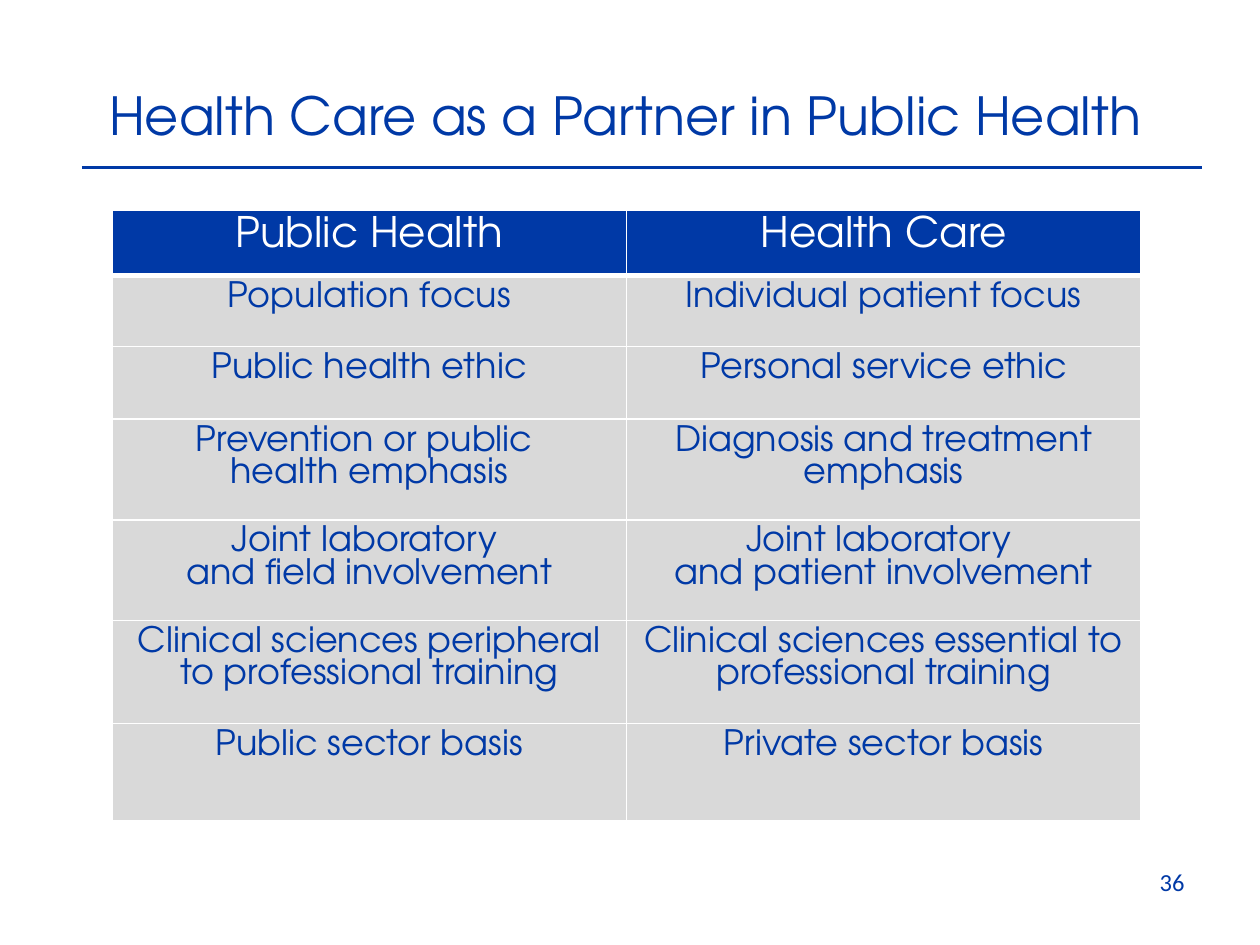
from lxml import etree
from pptx import Presentation
from pptx.dml.color import RGBColor
from pptx.enum.shapes import MSO_CONNECTOR
from pptx.enum.text import PP_ALIGN
from pptx.oxml.ns import qn
from pptx.util import Cm, Pt

STRAIGHT = MSO_CONNECTOR.STRAIGHT
CENTER, RIGHT = PP_ALIGN.CENTER, PP_ALIGN.RIGHT

BLUE, GRAY, WHITE = "0039A6", "D9D9D9", "FFFFFF"
HEAD, BODY = "TeX Gyre Adventor", "Calibri"

ROWS = [
    ("Public Health", "Health Care"),
    ("Population focus", "Individual patient focus"),
    ("Public health ethic", "Personal service ethic"),
    ("Prevention or public \nhealth emphasis", "Diagnosis and treatment emphasis"),
    ("Joint laboratory \nand field involvement", "Joint laboratory \nand patient involvement"),
    ("Clinical sciences peripheral to professional training",
     "Clinical sciences essential to professional training"),
    ("Public sector basis", "Private sector basis"),
]
HEIGHTS = [1.32, 1.42, 1.47, 2.03, 2.03, 2.08, 1.95]


def color(code):
    return RGBColor.from_string(code)


class Deck:
    def __init__(self, slide):
        self.slide = slide

    def style(self, frame, text, size, font, ink, align, space=None):
        """Fill a text frame and format all its paragraphs."""
        frame.text = text
        for par in frame.paragraphs:
            par.alignment = align
            if space:
                par.line_spacing = Pt(space)
            for run in par.runs:
                run.font.size = Pt(size)
                run.font.name = font
                run.font.color.rgb = color(ink)

    def text(self, text, left, top, width, height, size, font, align):
        box = self.slide.shapes.add_textbox(Cm(left), Cm(top), Cm(width), Cm(height))
        box.text_frame.word_wrap = True
        self.style(box.text_frame, text, size, font, BLUE, align)

    def rule(self, left, right, top):
        line = self.slide.shapes.add_connector(
            STRAIGHT, Cm(left), Cm(top), Cm(right), Cm(top))
        line.line.color.rgb = color(BLUE)
        line.line.width = Pt(1.75)
        etree.SubElement(line._element.spPr, qn("a:effectLst"))

    def border(self, cell, side, width):
        props = cell._tc.get_or_add_tcPr()
        edge = etree.SubElement(props, qn("a:ln" + side), w=str(Pt(width)))
        fill = etree.SubElement(edge, qn("a:solidFill"))
        etree.SubElement(fill, qn("a:srgbClr"), val=WHITE)

    def cell(self, cell, text, row):
        head = row == 0
        thick = {0: "B", 1: "T"}.get(row)
        for side in "LRTB":
            self.border(cell, side, 3 if side == thick else 1)
        cell.fill.solid()
        cell.fill.fore_color.rgb = color(BLUE if head else GRAY)
        self.style(cell.text_frame, text, 24 if head else 20, HEAD,
                   WHITE if head else BLUE, CENTER, 22.2 if head else 18.5)

    def table(self, rows, heights, left, top, width):
        count = len(rows[0])
        grid = self.slide.shapes.add_table(
            len(rows), count, Cm(left), Cm(top),
            Cm(width * count), Cm(sum(heights))).table
        for col in grid.columns:
            col.width = Cm(width)
        for i, (row, height) in enumerate(zip(rows, heights)):
            grid.rows[i].height = Cm(height)
            for j, text in enumerate(row):
                self.cell(grid.cell(i, j), text, i)


def main():
    prs = Presentation()
    prs.slide_width, prs.slide_height = Cm(25.4), Cm(19.05)
    deck = Deck(prs.slides.add_slide(prs.slide_layouts[6]))
    deck.text("Health Care as a Partner in Public Health",
              1.32, 1.55, 22.58, 1.55, 30, HEAD, CENTER)
    deck.rule(1.65, 24.23, 3.38)
    deck.text("36", 18.21, 17.35, 5.92, 1.32, 14, BODY, RIGHT)
    deck.table(ROWS, HEIGHTS, 2.26, 4.24, 10.37)
    prs.save("out.pptx")


if __name__ == "__main__":
    main()
